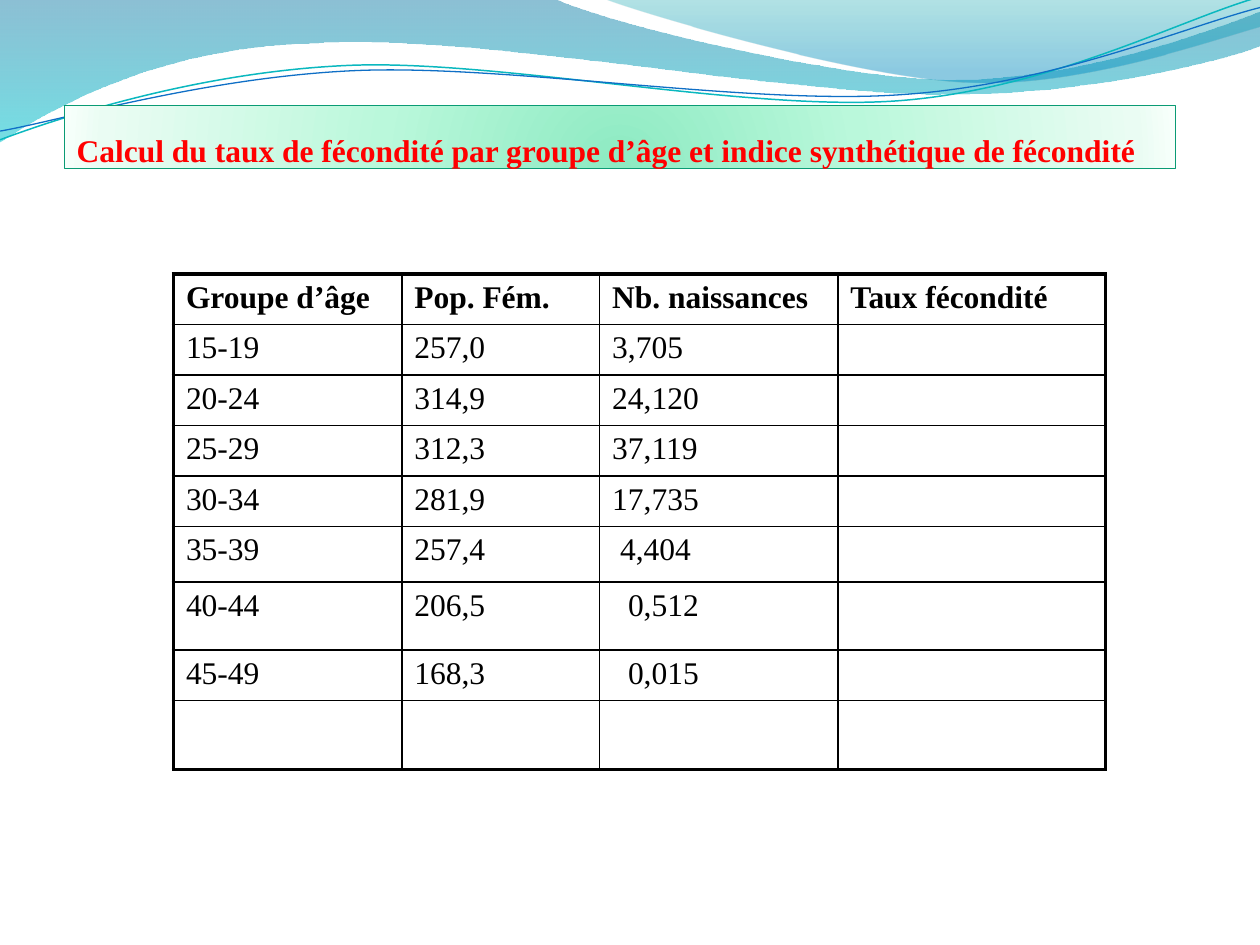
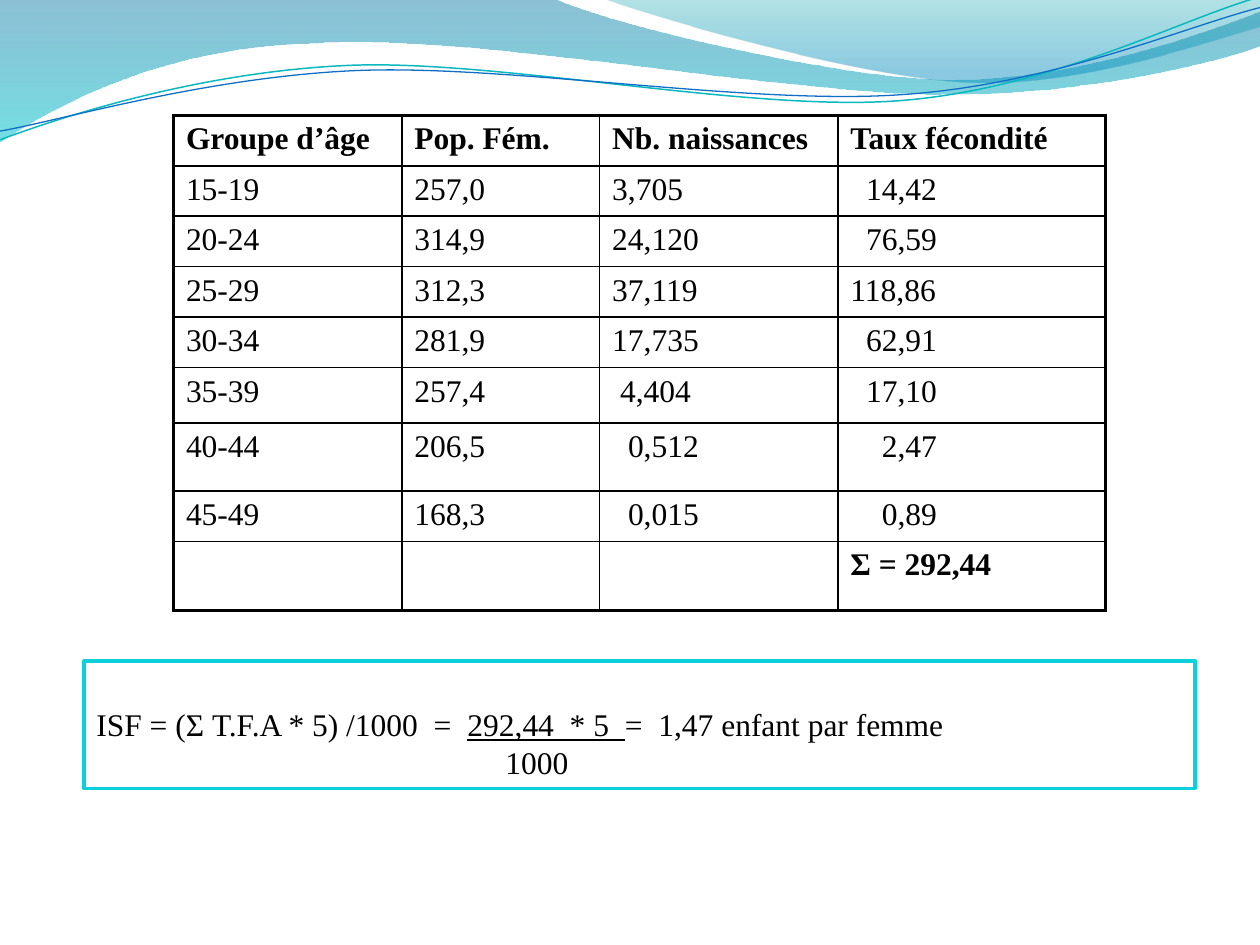
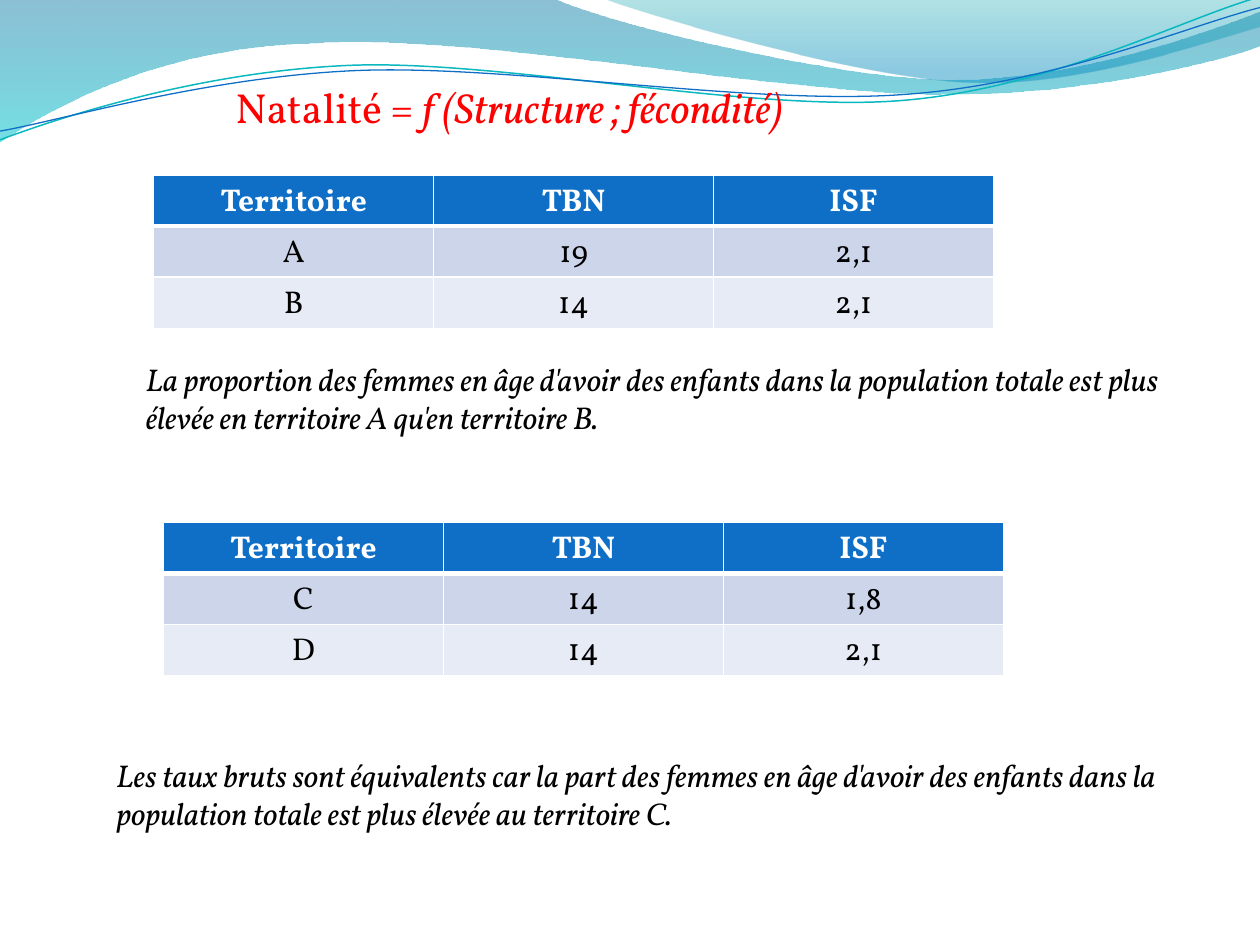
import dataclasses
import typing

import lxml.etree
import pptx
import pptx.dml.color
import pptx.enum.shapes
import pptx.enum.text
import pptx.oxml.ns
import pptx.util

Pt = pptx.util.Pt
qn = pptx.oxml.ns.qn
Align = pptx.enum.text.PP_ALIGN

# Shared colours and text formats
BLACK, WHITE, RED = "000000", "FFFFFF", "FF0000"
BLUE, TEAL, CYAN, GREEN = "0F6FC6", "0AB8BF", "0BD0D9", "0A9B74"
BANDS = ("CCD5EA", "E7EBF5")
TIMES = {"name": "Times New Roman", "size": Pt(18)}
BOOK = {"name": "Vollkorn", "size": Pt(18)}
HEAD = {"name": "Vollkorn", "size": Pt(24)}
BOLD, SLANT, UNDER = {"bold": True}, {"italic": True}, {"underline": True}


class Box(typing.NamedTuple):
    left: float
    top: float
    width: float
    height: float


class Stop(typing.NamedTuple):
    pos: int
    color: str
    alpha: int = 100


class Run(typing.NamedTuple):
    text: str
    form: dict
    color: str = BLACK


class Edge(typing.NamedTuple):
    color: str
    width: float


@dataclasses.dataclass
class Wave:
    """A start point, then steps of one point (line) or three (curve)."""
    start: tuple
    steps: list
    stops: tuple = ()
    edge: typing.Optional[Edge] = None


@dataclasses.dataclass
class Para:
    runs: list
    align: typing.Any = Align.LEFT
    indent: float = 0
    form: dict = dataclasses.field(default_factory=dict)


@dataclasses.dataclass
class Cell:
    para: Para
    edges: dict
    fill: str = ""


# Colour, outline and fill helpers
def tint(hue: str) -> pptx.dml.color.RGBColor:
    return pptx.dml.color.RGBColor.from_string(hue)


def add(root, tag: str, **attrs):
    return lxml.etree.SubElement(root, qn(tag), {k: str(v) for k, v in attrs.items()})


def add_hue(root, hue: str, alpha: int = 100) -> None:
    node = add(root, "a:srgbClr", val=hue)
    if alpha < 100:
        add(node, "a:alpha", val=alpha * 1000)


def paint(shape, hue: str) -> None:
    shape.fill.solid()
    shape.fill.fore_color.rgb = tint(hue)


def outline(shape, edge: typing.Optional[Edge]) -> None:
    if edge is None:
        shape.line.fill.background()
        return
    shape.line.color.rgb = tint(edge.color)
    shape.line.width = Pt(edge.width)


def blend(shape, stops: typing.Sequence[Stop], radial: bool = False) -> None:
    shape.fill.gradient()
    grad = shape._element.spPr.find(qn("a:gradFill"))
    for node in list(grad):
        grad.remove(node)
    group = add(grad, "a:gsLst")
    for stop in stops:
        add_hue(add(group, "a:gs", pos=stop.pos * 1000), stop.color, stop.alpha)
    if radial:
        ring = add(grad, "a:path", path="circle")
        add(ring, "a:fillToRect", l=50000, t=130000, r=50000, b=-30000)
    else:
        add(grad, "a:lin", ang=5400000, scaled=1)


# Text
def write(para, data: Para) -> None:
    para.alignment = data.align
    for key, value in data.form.items():
        setattr(para, key, value)
    if data.indent:
        para._p.get_or_add_pPr().set("marL", str(int(Pt(data.indent))))
    for item in data.runs:
        run = para.add_run()
        run.text = item.text
        run.font.color.rgb = tint(item.color)
        for key, value in item.form.items():
            setattr(run.font, key, value)


def fill_text(shape, paras: list) -> None:
    frame = shape.text_frame
    form = {"word_wrap": True,
            "auto_size": pptx.enum.text.MSO_AUTO_SIZE.SHAPE_TO_FIT_TEXT,
            "vertical_anchor": pptx.enum.text.MSO_ANCHOR.TOP}
    for key, value in form.items():
        setattr(frame, key, value)
    for num, data in enumerate(paras):
        write(frame.add_paragraph() if num else frame.paragraphs[0], data)


def add_label(slide, box: Box, runs: list) -> None:
    fill_text(slide.shapes.add_textbox(*map(Pt, box)), [Para(runs)])


def add_panel(slide, box: Box, edge: Edge, paras: list):
    kind = pptx.enum.shapes.MSO_SHAPE.RECTANGLE
    shape = slide.shapes.add_shape(kind, *map(Pt, box))
    shape.shadow.inherit = False
    paint(shape, WHITE)
    outline(shape, edge)
    fill_text(shape, paras)
    return shape


# Waves
def bend(shape, steps: list) -> None:
    """Join each run of three line nodes of a curve step into one curve."""
    nodes = iter(list(shape._element.iter(qn("a:lnTo"))))
    for step in steps:
        group = [next(nodes) for _ in step]
        if len(group) == 3:
            curve = lxml.etree.Element(qn("a:cubicBezTo"))
            group[0].addprevious(curve)
            for node in group:
                curve.append(node[0])
                node.getparent().remove(node)


def add_wave(slide, wave: Wave):
    first, *rest = [(Pt(x), Pt(y)) for x, y in [wave.start, *sum(wave.steps, [])]]
    pen = slide.shapes.build_freeform(*first)
    pen.add_line_segments(rest, close=bool(wave.stops))
    shape = pen.convert_to_shape()
    bend(shape, wave.steps)
    shape.shadow.inherit = False
    if wave.stops:
        blend(shape, wave.stops)
    else:
        shape.fill.background()
    outline(shape, wave.edge)
    return shape


# Tables
def add_edges(cell, edges: dict) -> None:
    props = cell._tc.get_or_add_tcPr()
    for side in "LRTB":
        edge = edges[side]
        line = add(props, f"a:ln{side}", w=int(Pt(edge.width)))
        add_hue(add(line, "a:solidFill"), edge.color)


def add_grid(slide, left: float, top: float, cols: list, rows: list, cells: list) -> None:
    box = Box(left, top, sum(cols), sum(rows))
    table = slide.shapes.add_table(len(rows), len(cols), *map(Pt, box)).table
    table.first_row = table.horz_banding = False
    for col, width in zip(table.columns, cols):
        col.width = Pt(width)
    for row, height in zip(table.rows, rows):
        row.height = Pt(height)
    for y, line in enumerate(cells):
        for x, data in enumerate(line):
            cell = table.cell(y, x)
            add_edges(cell, data.edges)
            if data.fill:
                paint(cell, data.fill)
            else:
                cell.fill.background()
            write(cell.text_frame.paragraphs[0], data.para)


AGES = ("15-19", "20-24", "25-29", "30-34", "35-39", "40-44", "45-49")
WOMEN = ("257,0", "314,9", "312,3", "281,9", "257,4", "206,5", "168,3")
BIRTHS = ("3,705", "24,120", "37,119", "17,735", "4,404", "0,512", "0,015")
SHIFTS = (0, 0, 0, 0, 4.5, 9, 9)
RATES = ("14,42", "76,59", "118,86", "62,91", "17,10", "2,47", "0,89")
TITLES = ("Groupe d’âge", "Pop. Fém.", "Nb. naissances", "Taux fécondité")


def add_ages(slide, top: float, rates: typing.Sequence[str], total: str) -> None:
    """Fertility table: rates line up on the comma, the frame is thick."""
    cols = [130.5, 113.1, 136.1, 153.1]
    rows = [28.8] * 5 + [31.7, 38.9, 28.8, 39.5]
    body = [TITLES, *zip(AGES, WOMEN, BIRTHS, rates), ("", "", "", total)]
    last = len(body) - 1
    thin, thick = Edge(BLACK, 1), Edge(BLACK, 2.25)
    cells = []
    for y, line in enumerate(body):
        strong = y in (0, last)
        cells.append([])
        for x, text in enumerate(line):
            indent = 0
            if not strong and x == 2:
                indent = SHIFTS[y - 1]
            elif not strong and x == 3 and text:
                indent = 9 * (3 - text.index(","))
            runs = [Run(text, {**TIMES, "bold": strong})] if text else []
            ends = {"L": x == 0, "R": x == 3, "T": y == 0, "B": y == last}
            edges = {side: thick if end else thin for side, end in ends.items()}
            cells[-1].append(Cell(Para(runs, indent=indent), edges))
    add_grid(slide, 99.1, top, cols, rows, cells)


def add_lands(slide, left: float, top: float, body: list) -> None:
    """Banded table of territories."""
    cells = []
    for y, line in enumerate([("Territoire", "TBN", "ISF"), *body]):
        head = y == 0
        edges = dict.fromkeys("LRTB", Edge(WHITE, 1))
        if y < 2:
            edges["B" if head else "T"] = Edge(WHITE, 3)
        fill = BLUE if head else BANDS[(y - 1) % 2]
        form = {**BOOK, "bold": head}
        hue = WHITE if head else BLACK
        cells.append([Cell(Para([Run(text, form, hue)], Align.CENTER), edges, fill)
                      for text in line])
    add_grid(slide, left, top, [160] * 3, [29.2] * 3, cells)


# Page and shared waves, placed once on the blank layout
deck = pptx.Presentation()
deck.slide_width, deck.slide_height = Pt(720), Pt(540)
blank = deck.slide_layouts[6]
for holder in list(blank.placeholders):
    holder._element.getparent().remove(holder._element)

WAVES = [
    Wave((0, 0), [
        [(316.8, -0.7)],
        [(342.7, 12.2), (478.1, 45.4), (545.8, 45.4)],
        [(614.2, 45.4), (689.8, 18.7), (720, 6.5)],
        [(720.7, 25.9)],
        [(707.8, 31.7), (626.4, 54.7), (537.1, 54)],
        [(447.8, 54), (275, 20.2), (185, 24.5)],
        [(92.9, 25.9), (33.1, 59.8), (-0.7, 81.4)],
    ], stops=(Stop(0, "0074A1", 45), Stop(100, "00C6CF", 55))),
    Wave((344.9, -0.7), [
        [(366.5, 7.9), (491, 44.6), (553.7, 46.8)],
        [(616.3, 49.7), (691.9, 23), (720, 15.1)],
        [(720, 0)],
    ], stops=(Stop(0, "00A1A9", 30), Stop(80, "008BBF", 45))),
    Wave((0, 79.9), [
        [(34.6, 67), (113.8, 41), (199.4, 37.4)],
        [(284.4, 33.8), (427, 64.1), (513.4, 57.6)],
        [(599.8, 51.1), (675.4, 10.8), (718.6, -1.4)],
    ], edge=Edge(TEAL, 0.85)),
    Wave((0, 74.9), [
        [(33.8, 69.1), (118.1, 43.9), (203.8, 40.3)],
        [(290.2, 36.7), (429.8, 60.5), (516.2, 54)],
        [(601.9, 48.2), (677.5, 15.1), (720, 4.3)],
    ], edge=Edge(BLUE, 0.75)),
]
rates, index, birth = (deck.slides.add_slide(blank) for _ in range(3))
for wave in WAVES:
    blank.shapes._spTree.append(add_wave(rates, wave)._element)

# Slide 1: table to fill in
title = Run("Calcul du taux de fécondité par groupe d’âge et indice synthétique "
            "de fécondité", {**TIMES, **BOLD}, RED)
band = add_panel(rates, Box(36.7, 60.3, 635, 36), Edge(GREEN, 0.75),
                 [Para([title], Align.JUSTIFY, form={"line_spacing": 1.5})])
blend(band, (Stop(0, "8DEAC2"), Stop(43, "BAF8DB"), Stop(93, "EAFCF3"),
             Stop(100, "F7FFFB")), radial=True)
add_ages(rates, 156.6, [""] * len(AGES), "")

# Slide 2: rates and the index
panel = add_panel(index, Box(48, 377.8, 635, 72.7), Edge(CYAN, 2), [
    Para([Run("ISF = (Σ T.F.A * 5) /1000  =  ", TIMES),
          Run("292,44  * 5  ", {**TIMES, **UNDER}),
          Run("=  1,47 enfant par femme", TIMES)]),
    Para([Run("1000", TIMES)], indent=233.7),
])
panel.text_frame.margin_top = Pt(25)
add_ages(index, 65.9, RATES, "Σ = 292,44")

# Slide 3: territories compared
add_label(birth, Box(127.5, 43.2, 360, 36), [
    Run("Natalité = ", HEAD, RED),
    Run("f (Structure ; fécondité)", {**HEAD, **SLANT}, RED)])
add_lands(birth, 87.8, 100, [("A", "19", "2,1"), ("B", "14", "2,1")])
add_lands(birth, 93.4, 298.4, [("C", "14", "1,8"), ("D", "14", "2,1")])
NOTES = [
    (Box(76.3, 202.1, 607, 51), "La proportion des femmes en âge d'avoir des enfants "
     "dans la population totale est plus élevée en territoire A qu'en territoire B."),
    (Box(59.5, 428.6, 612, 51), "Les taux bruts sont équivalents car la part des femmes "
     "en âge d'avoir des enfants dans la population totale est plus élevée au "
     "territoire C."),
]
for box, text in NOTES:
    add_label(birth, box, [Run(text, {**BOOK, **SLANT})])

deck.save("out.pptx")
